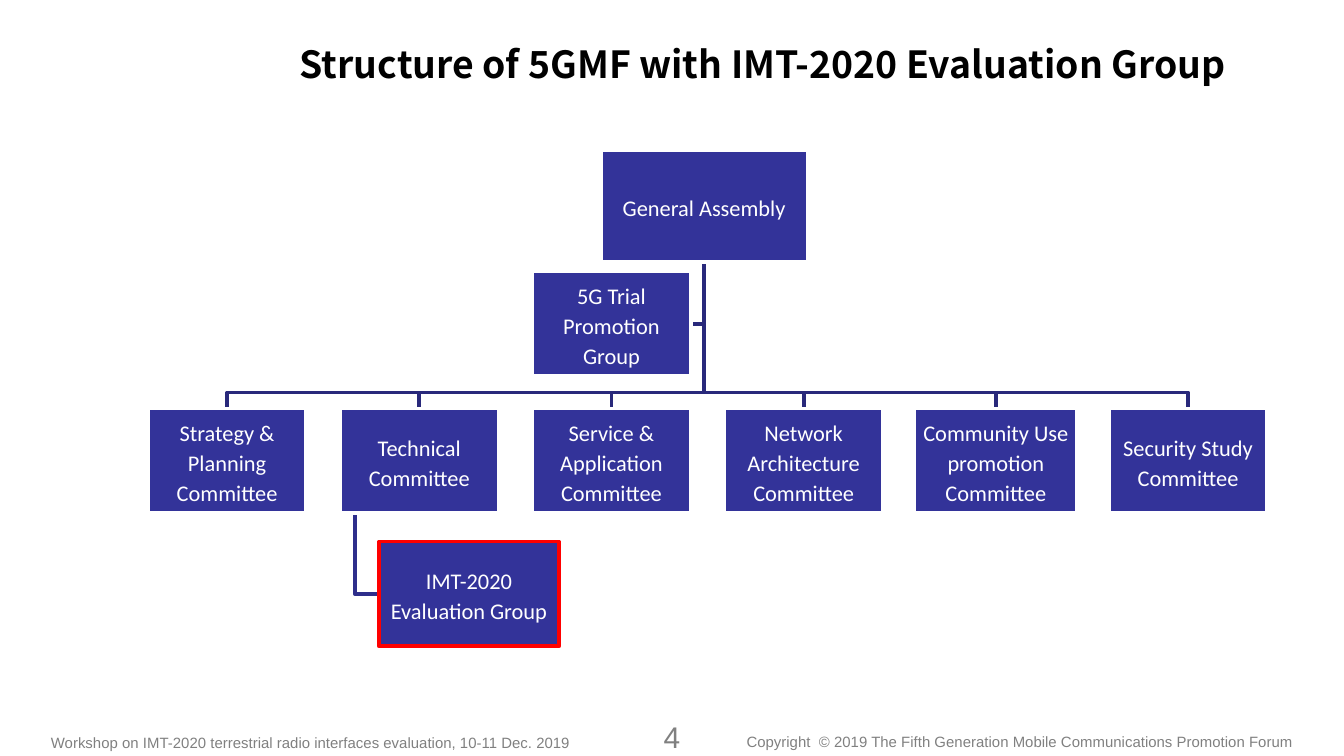
import pptx
import pptx.dml.color
import pptx.enum.shapes
import pptx.enum.text
import pptx.util

Inches = pptx.util.Inches
Pt = pptx.util.Pt
ALIGN = pptx.enum.text.PP_ALIGN
ANCHOR = pptx.enum.text.MSO_ANCHOR

COMMITTEES = [
    ("Strategy &\nPlanning\nCommittee", 1.18),
    ("Technical\nCommittee", 1.18),
    ("Service & Application Committee", 1.18),
    ("Network\nArchitecture\nCommittee", 1.18),
    ("Community Use promotion Committee", 1.21),
    ("Security Study Committee", 1.18),
]


def color(hex_string):
    """Turn a hex string into a colour."""
    return pptx.dml.color.RGBColor.from_string(hex_string)


def write_text(frame, text, font="Arial", size=12, fill="808080", bold=False,
               align=ALIGN.CENTER, anchor=ANCHOR.TOP, inset=None, spacing=None):
    """Fill a text frame with one formatted paragraph for each line."""
    frame.word_wrap = True
    frame.auto_size = pptx.enum.text.MSO_AUTO_SIZE.NONE
    frame.vertical_anchor = anchor
    if inset is not None:
        frame.margin_left = frame.margin_right = Inches(inset)
        frame.margin_top = frame.margin_bottom = Inches(inset)
    frame.text = text
    for paragraph in frame.paragraphs:
        paragraph.alignment = align
        if spacing:
            paragraph.line_spacing = Pt(spacing)
        paragraph.font.name = font
        paragraph.font.size = Pt(size)
        paragraph.font.bold = bold
        paragraph.font.color.rgb = color(fill)


def add_unit(slide, text, left, top, width, height, outline="FFFFFF"):
    """Draw one organisational unit."""
    unit = slide.shapes.add_shape(
        pptx.enum.shapes.MSO_SHAPE.RECTANGLE,
        Inches(left), Inches(top), Inches(width), Inches(height))
    unit.shadow.inherit = False
    unit.fill.solid()
    unit.fill.fore_color.rgb = color("333399")
    unit.line.color.rgb = color(outline)
    unit.line.width = Pt(2)
    write_text(unit.text_frame, text, font="Calibri", fill="FFFFFF",
               anchor=ANCHOR.MIDDLE, inset=0.01, spacing=16)


def add_branch(slide, points, stroke="29297B"):
    """Draw an angled line through the given points."""
    start, *rest = [(Inches(x), Inches(y)) for x, y in points]
    builder = slide.shapes.build_freeform(*start)
    builder.add_line_segments(rest, close=False)
    branch = builder.convert_to_shape()
    branch.shadow.inherit = False
    branch.fill.background()
    branch.line.color.rgb = color(stroke)
    branch.line.width = Pt(2)


def add_title(slide, left, top, width, height):
    """Place the slide title."""
    title = slide.shapes.title
    title.left, title.top = Inches(left), Inches(top)
    title.width, title.height = Inches(width), Inches(height)
    write_text(title.text_frame, "Structure of 5GMF with IMT-2020 Evaluation Group",
               font="Noto Sans CJK JP", size=20, fill="000000", bold=True,
               align=ALIGN.LEFT, anchor=ANCHOR.MIDDLE)


def add_organisation(slide, left, top, width):
    """Draw the organisation tree in its box."""
    unit_width, unit_height = 1.18, 0.78
    assembly_width, assembly_height = 1.54, 0.83
    trunk = left + 4.14
    assembly_bottom = top + assembly_height
    rail = top + 1.8
    row = top + 1.92
    pitch = (width - unit_width) / (len(COMMITTEES) - 1)
    centers = [left + unit_width / 2 + i * pitch for i in range(len(COMMITTEES))]

    trial_left, trial_top = left + 2.86, top + 0.9
    trial_middle = trial_top + unit_height / 2
    add_branch(slide, [(trunk, assembly_bottom), (trunk, trial_middle),
                       (trial_left + unit_width, trial_middle)])
    for center in centers:
        add_branch(slide, [(trunk, assembly_bottom), (trunk, rail),
                           (center, rail), (center, row)])

    group_left, group_top = left + 1.72, top + 2.91
    group_middle = group_top + unit_height / 2
    stem = centers[1] - 0.48
    add_branch(slide, [(stem, row + unit_height), (stem, group_middle),
                       (group_left, group_middle)], stroke="2E2E8B")

    add_unit(slide, "General Assembly", trunk - assembly_width / 2, top,
             assembly_width, assembly_height)
    for (name, breadth), center in zip(COMMITTEES, centers):
        add_unit(slide, name, center - breadth / 2, row, breadth, unit_height)
    add_unit(slide, "IMT-2020 Evaluation Group", group_left, group_top,
             1.34, unit_height, outline="FF0000")
    add_unit(slide, "5G Trial Promotion Group", trial_left, trial_top,
             unit_width, unit_height)


def add_footer(slide, left, top):
    """Place the event, page number and copyright along the bottom."""
    entries = [
        ("Workshop on IMT-2020 terrestrial radio interfaces evaluation, 10-11 Dec. 2019",
         0, 0.11, 4.48, 0.24, 8, ALIGN.LEFT),
        ("4", 4.14, 0, 1.16, 0.32, 16, ALIGN.CENTER),
        ("Copyright  © 2019 The Fifth Generation Mobile Communications Promotion Forum",
         5.16, 0.1, 4.3, 0.24, 8, ALIGN.CENTER),
    ]
    for text, x, y, width, height, size, align in entries:
        entry = slide.shapes.add_textbox(Inches(left + x), Inches(top + y),
                                         Inches(width), Inches(height))
        write_text(entry.text_frame, text, size=size, align=align)


def main():
    """Build and save the presentation."""
    deck = pptx.Presentation()
    deck.slide_width = Inches(10)
    deck.slide_height = deck.slide_width * 9 // 16
    slide = deck.slides.add_slide(deck.slide_layouts[5])
    add_title(slide, 2.13, 0, 7.87, 0.94)
    add_organisation(slide, 1.1, 1.12, 8.33)
    add_footer(slide, 0.28, 5.3)
    deck.save("out.pptx")


if __name__ == "__main__":
    main()
